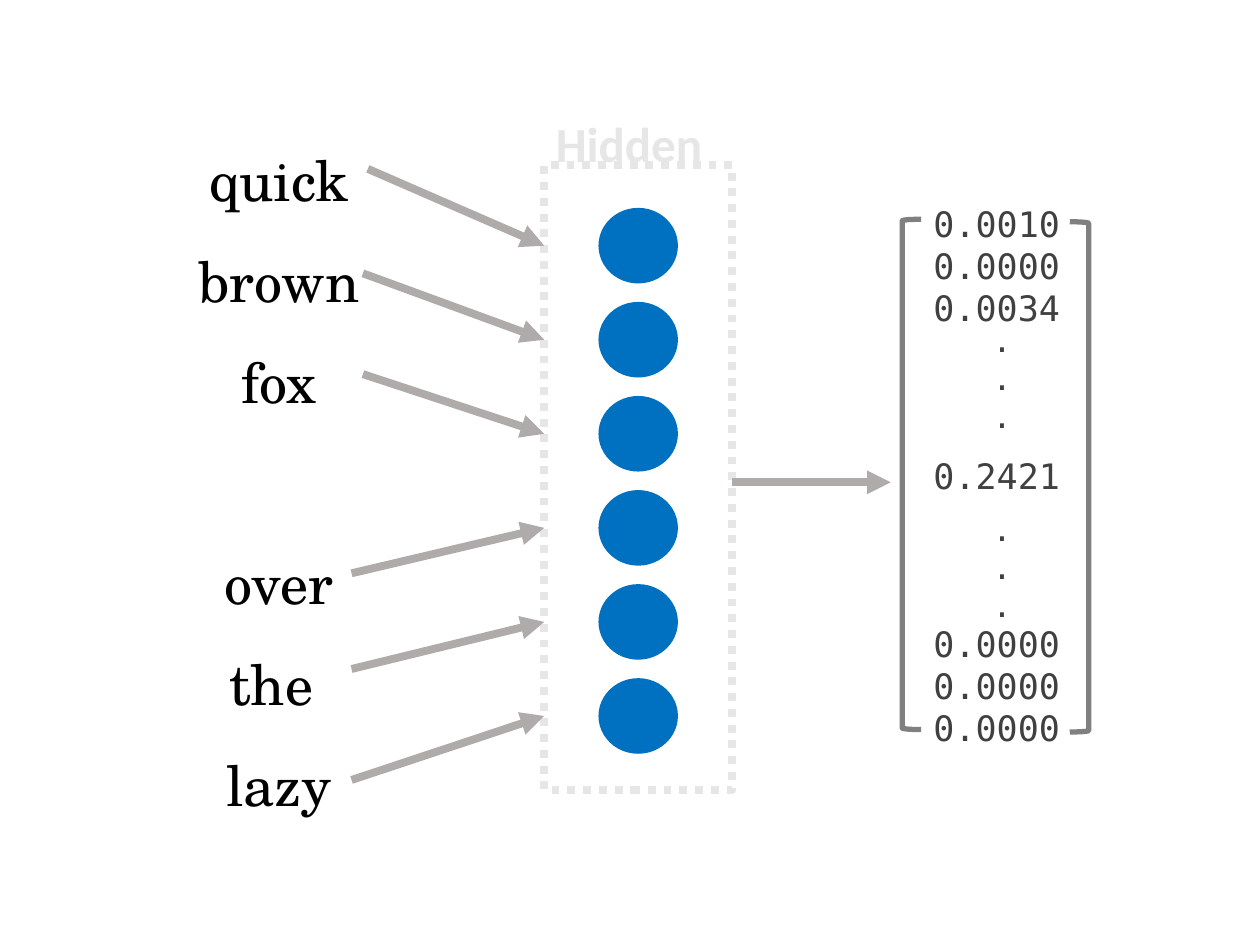
"""Build a slide of context words feeding a hidden layer that outputs a vector."""
from lxml.etree import SubElement
from pptx import Presentation
from pptx.dml.color import RGBColor
from pptx.enum.dml import MSO_LINE
from pptx.enum.shapes import MSO_CONNECTOR, MSO_SHAPE
from pptx.enum.text import PP_ALIGN
from pptx.oxml.ns import qn
from pptx.util import Pt

rgb = RGBColor.from_string
MONO = "DejaVu Sans Mono"

prs = Presentation()
prs.slide_width, prs.slide_height = Pt(720), Pt(540)
s = prs.slides.add_slide(prs.slide_layouts[6])


def add_text(text, x, y, w, h, size, font, color, bold=False,
             align=PP_ALIGN.LEFT, spacing=1.0, gaps=None):
    tf = s.shapes.add_textbox(Pt(x), Pt(y), Pt(w), Pt(h)).text_frame
    tf.word_wrap = True
    for i, line in enumerate(text.split("\n")):
        p = tf.paragraphs[0] if i == 0 else tf.add_paragraph()
        p.alignment, p.line_spacing = align, spacing
        if gaps and i in gaps:
            p.space_before = Pt(gaps[i])
        r = p.add_run()
        r.text = line
        r.font.size, r.font.name, r.font.bold = Pt(size), font, bold
        r.font.color.rgb = rgb(color)


def add_arrow(x1, y1, x2, y2):
    c = s.shapes.add_connector(MSO_CONNECTOR.STRAIGHT, Pt(x1), Pt(y1), Pt(x2), Pt(y2))
    c.line.width = Pt(4.5)
    c.line.color.rgb = rgb("AFABAB")
    SubElement(c.line._get_or_add_ln(), qn("a:tailEnd"), type="triangle")
    SubElement(c._element.spPr, qn("a:effectLst"))


add_text("quick\nbrown\nfox\nover\nthe \nlazy", 87.1, 60.5, 144.7, 407.5, 32,
         "TeX Gyre Schola", "000000", align=PP_ALIGN.CENTER, spacing=1.5, gaps={3: 57.5})

sp = s.shapes.add_shape(MSO_SHAPE.RECTANGLE, Pt(311), Pt(94.3), Pt(107.6), Pt(357.1))
sp.shadow.inherit = False
sp.fill.background()
sp.line.width = Pt(4.5)
sp.line.color.rgb = rgb("E7E6E6")
sp.line.dash_style = MSO_LINE.ROUND_DOT
add_text("Hidden", 299.4, 61.2, 120, 41.4, 28, "Calibri", "E7E6E6",
         bold=True, align=PP_ALIGN.CENTER)

starts = [(210.2, 96.5), (207.4, 156.2), (207.4, 213.8),
          (200.9, 327.6), (200.9, 382.3), (200.9, 445.7)]
for i, (x, y) in enumerate(starts):
    mid = 140.4 + 53.75 * i
    sp = s.shapes.add_shape(MSO_SHAPE.OVAL, Pt(342), Pt(mid - 21.6), Pt(45.4), Pt(43.2))
    sp.shadow.inherit = False
    sp.fill.solid()
    sp.fill.fore_color.rgb = rgb("0070C0")
    sp.line.fill.background()
    add_arrow(x, y, 311, mid)
add_arrow(418.5, 275.6, 509, 275.6)

add_text("0.0010\n0.0000\n0.0034\n0.2421\n0.0000\n0.0000\n0.0000", 526.3, 112.3,
         104.4, 322.6, 20, MONO, "404040", gaps={3: 72, 4: 72})
for y in (180, 288):
    add_text(".\n.\n.", 560.2, y, 31, 72.7, 18, MONO, "404040")
for kind, x, y in ((MSO_SHAPE.LEFT_BRACKET, 515.5, 125.3),
                   (MSO_SHAPE.RIGHT_BRACKET, 611.3, 126.7)):
    sp = s.shapes.add_shape(kind, Pt(x), Pt(y), Pt(10.8), Pt(291.6))
    sp.shadow.inherit = False
    sp.fill.background()
    sp.line.width = Pt(3)
    sp.line.color.rgb = rgb("808080")

prs.save("out.pptx")
